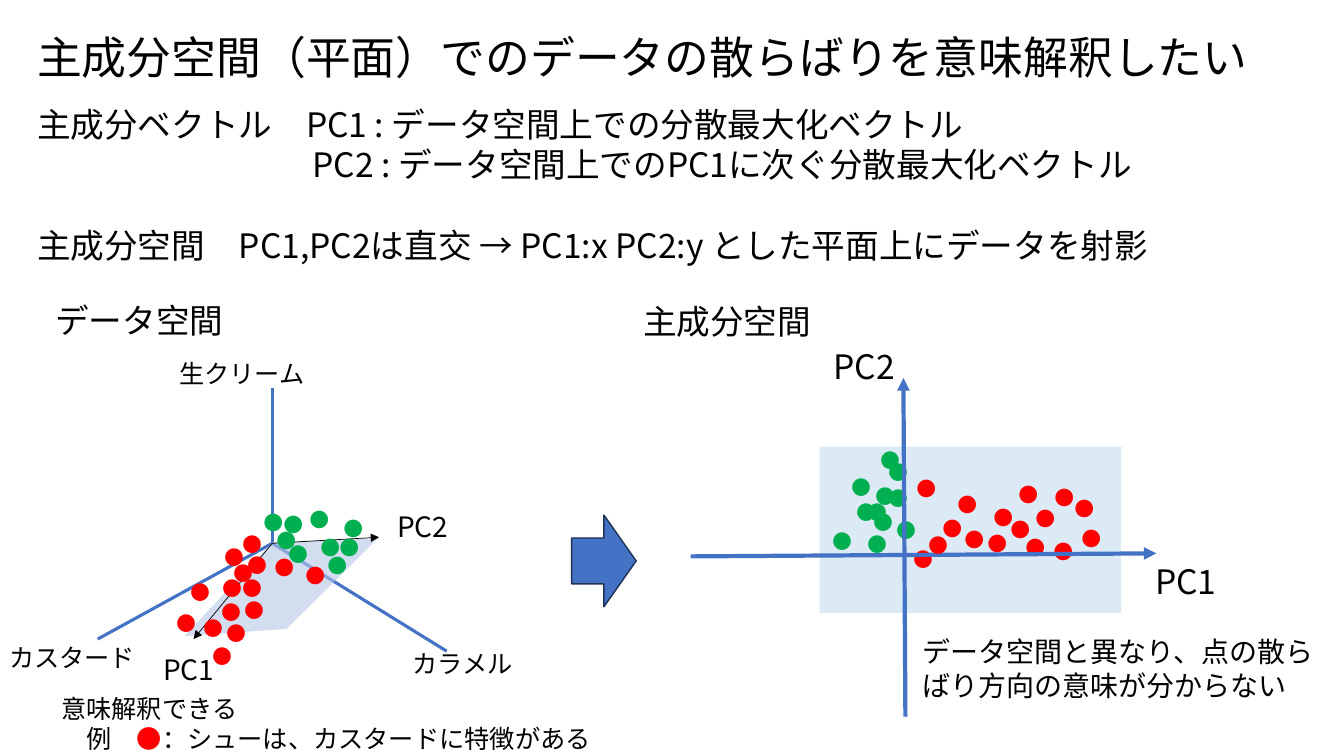
import pptx
import pptx.dml.color
import pptx.enum.shapes
import pptx.enum.text
import pptx.oxml.ns
import pptx.util
import lxml.etree

COLUMNS, ROWS = 1333, 750
CELL = pptx.util.Inches(0.01)
FONT = "Noto Sans CJK JP"
BLACK, RED, GREEN, BLUE = "000000", "FF0000", "00B050", "4472C4"
FLIPPED, TILTED = 180, 136.6

SCORES = [
    (RED, FLIPPED, [(1036, 477, 40), (984, 498, 73), (992, 527, 55), (1062, 518, 40),
                    (788, 468, 151), (975, 497, 40), (939, 484, 40), (1035, 530, 40),
                    (924, 508, 40), (1000, 474, 40), (969, 523, 40), (937, 519, 49),
                    (983, 509, 49), (1046, 488, 49)]),
    (RED, TILTED, [(904, 535, 30)]),
    (GREEN, TILTED, [(848, 488, 30), (871, 437, 30), (887, 506, 30), (843, 464, 30),
                     (865, 498, 30), (879, 475, 30), (824, 517, 30), (859, 488, 30),
                     (867, 473, 30), (868, 518, 15), (879, 449, 30)]),
]
SCORES_OVER_AXIS = [(RED, TILTED, [(919, 521, 30)])]
SAMPLES = [
    (RED, TILTED, [(187, 568, 30), (230, 549, 30), (173, 599, 30), (200, 604, 30),
                   (239, 564, 30), (241, 586, 30), (218, 588, 30), (223, 608, 30),
                   (209, 631, 30), (219, 564, 30), (239, 520, 30), (244, 541, 30),
                   (221, 533, 30)]),
    (GREEN, FLIPPED, [(308, 527, 40), (218, 502, 73), (315, 508, 55), (264, 520, 40),
                      (297, 499, 40), (271, 504, 40), (305, 544, 49), (317, 527, 49)]),
    (RED, FLIPPED, [(293, 554, 40), (253, 546, 49)]),
    (GREEN, TILTED, [(284, 530, 30)]),
]


def rgb(hex_code):
    return pptx.dml.color.RGBColor.from_string(hex_code)


def grid(*cells):
    return [round(cell * CELL) for cell in cells]


def child(parent, tag, **attributes):
    return lxml.etree.SubElement(parent, pptx.oxml.ns.qn(tag), attributes)


def format_run(run, size, color):
    run.font.size = pptx.util.Pt(size)
    run.font.name = FONT
    run.font.color.rgb = rgb(color)
    child(run.font._element, "a:ea", typeface=FONT)


def write(slide, area, lines, size, color=BLACK, wrap=False, inset=True, turn=0):
    box = slide.shapes.add_textbox(*grid(*area))
    box.rotation = turn
    frame = box.text_frame
    frame.word_wrap = wrap
    frame.auto_size = pptx.enum.text.MSO_AUTO_SIZE.SHAPE_TO_FIT_TEXT
    if not inset:
        frame.margin_left = frame.margin_right = frame.margin_top = frame.margin_bottom = 0
    frame.text = "\n".join(lines)
    for paragraph in frame.paragraphs:
        for run in paragraph.runs:
            format_run(run, size, color)
    return frame


def scatter(slide, groups):
    for color, turn, points in groups:
        for column, row, width in points:
            write(slide, (column, row, width, 34), ["●"], 14, color, wrap=True, turn=turn)


def fill_plain(shape, color, opacity=100):
    shape.shadow.inherit = False
    shape.fill.solid()
    shape.fill.fore_color.rgb = rgb(color)
    shape.line.fill.background()
    if opacity < 100:
        tint = shape._element.spPr.find(".//" + pptx.oxml.ns.qn("a:srgbClr"))
        child(tint, "a:alpha", val=str(opacity * 1000))


def axis(slide, start, end, color, weight, arrow=False):
    ray = slide.shapes.add_connector(
        pptx.enum.shapes.MSO_CONNECTOR.STRAIGHT, *grid(*start, *end))
    ray.line.color.rgb = rgb(color)
    ray.line.width = pptx.util.Pt(weight)
    if arrow:
        child(ray.line._get_or_add_ln(), "a:tailEnd", type="triangle")
    child(ray._element.spPr, "a:effectLst")


def plane(slide, corners, color, opacity):
    outline = slide.shapes.build_freeform(*corners[0], scale=CELL)
    outline.add_line_segments(corners[1:], close=True)
    fill_plain(outline.convert_to_shape(), color, opacity)


def component_space(slide):
    scores_area = slide.shapes.add_shape(
        pptx.enum.shapes.MSO_SHAPE.RECTANGLE, *grid(813, 443, 299, 165))
    fill_plain(scores_area, "BDD7EE", 52)
    scatter(slide, SCORES)
    axis(slide, (685, 552), (1147, 549), BLUE, 3, arrow=True)
    axis(slide, (898, 711), (896, 375), BLUE, 3, arrow=True)
    scatter(slide, SCORES_OVER_AXIS)
    write(slide, (1136, 552, 84, 50), ["PC1"], 24)
    write(slide, (817, 338, 84, 50), ["PC2"], 24)
    write(slide, (628, 294, 188, 50), ["主成分空間"], 24)
    write(slide, (905, 625, 414, 77),
          ["データ空間と異なり、点の散らばり方向の意味が分からない"], 20, wrap=True)


def data_space(slide):
    origin = (270, 539)
    write(slide, (45, 293, 188, 50), ["データ空間"], 24)
    for ingredient_end in [(270, 385), (97, 634), (443, 646)]:
        axis(slide, origin, ingredient_end, BLUE, 2.25)
    plane(slide, [(270, 538), (375, 534), (284, 624), (183, 631)], "B4C7E7", 60)
    for component_end in [(192, 634), (376, 533)]:
        axis(slide, origin, component_end, BLACK, 0.5, arrow=True)
    write(slide, (152, 642, 73, 44), ["PC1"], 20)
    write(slide, (384, 501, 73, 44), ["PC2"], 20)
    write(slide, (168, 351, 146, 40), ["生クリーム"], 18)
    write(slide, (9, 637, 126, 30), ["カスタード"], 18, inset=False)
    write(slide, (409, 643, 101, 30), ["カラメル"], 18, inset=False)
    scatter(slide, SAMPLES)


def explanation(slide):
    definitions = write(slide, (27, 98, 1172, 172), [
        "主成分ベクトル　PC1 : データ空間上での分散最大化ベクトル",
        "PC2 : データ空間上でのPC1に次ぐ分散最大化ベクトル",
        "主成分空間　PC1,PC2は直交 → PC1:x PC2:y とした平面上にデータを射影",
    ], 24)
    second, projection = definitions.paragraphs[1:]
    second._p.get_or_add_pPr().set("marL", str(grid(273)[0]))
    projection.space_before = pptx.util.Pt(29)
    write(slide, (27, 25, 1232, 64),
          ["主成分空間（平面）でのデータの散らばりを意味解釈したい"], 32)


def example(slide):
    reading = write(slide, (51, 683, 550, 71), ["意味解釈できる", "　例　"], 18)
    for words, color in [("●", RED), ("：シューは、カスタードに特徴がある", BLACK)]:
        run = reading.paragraphs[1].add_run()
        run.text = words
        format_run(run, 18, color)


def main():
    deck = pptx.Presentation()
    deck.slide_width, deck.slide_height = grid(COLUMNS, ROWS)
    slide = deck.slides.add_slide(deck.slide_layouts[6])
    component_space(slide)
    projection = slide.shapes.add_shape(
        pptx.enum.shapes.MSO_SHAPE.RIGHT_ARROW, *grid(567, 511, 64, 91))
    fill_plain(projection, BLUE)
    projection.line.color.rgb = rgb("1E3256")
    projection.line.width = pptx.util.Pt(1)
    data_space(slide)
    explanation(slide)
    example(slide)
    deck.save("out.pptx")


if __name__ == "__main__":
    main()
